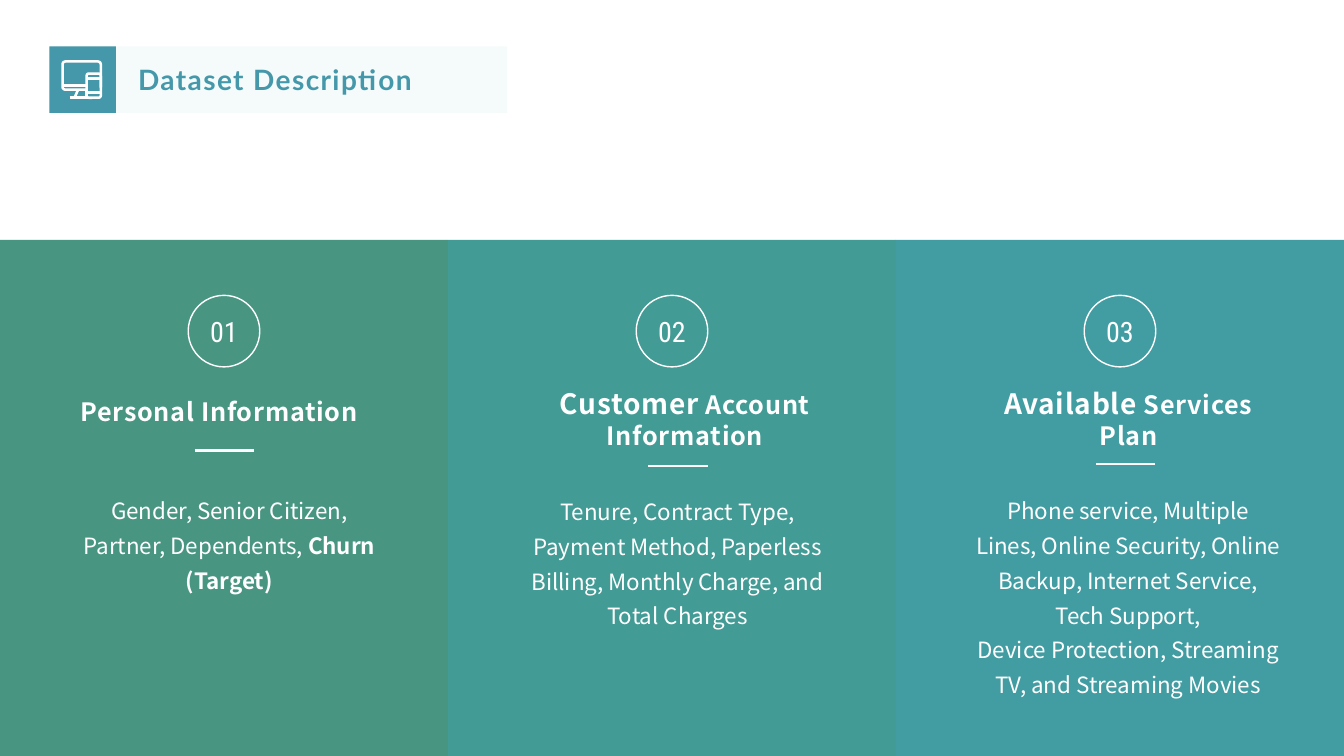
from dataclasses import dataclass
from lxml.etree import SubElement
from pptx import Presentation
from pptx.dml.color import RGBColor
from pptx.enum.shapes import MSO_CONNECTOR, MSO_SHAPE
from pptx.enum.text import MSO_ANCHOR, MSO_AUTO_SIZE, PP_ALIGN
from pptx.oxml.ns import qn
from pptx.util import Inches, Pt

TITLE = "Dataset Description"
# Runs are (text, size name, bold); boxes are (left, top, width, height) in inches.
COLUMNS = [
    dict(number="01", fill="489682", rule=(1.93, 4.47),
         heading=[[("Personal Information", "heading", True)]],
         heading_box=(0.64, 3.88, 3.07, 0.4),
         fields=[[("Gender, Senior Citizen, Partner, Dependents, ", "body", False),
                  ("Churn (Target)", "body", True)]],
         fields_box=(0.64, 4.8, 3.27, 0.77)),
    dict(number="02", fill="429B95", rule=(6.43, 4.62),
         heading=[[("Customer", "large", True), (" Account Information", "heading", True)]],
         heading_box=(5.39, 3.79, 2.81, 0.74),
         fields=[[("Tenure, Contract Type, Payment Method, Paperless Billing, "
                   "Monthly Charge, and Total Charges", "body", False)]],
         fields_box=(5.11, 4.81, 3.22, 1.47)),
    dict(number="03", fill="429DA3", rule=(10.87, 4.6),
         heading=[[("Available", "large", True), (" Services Plan", "heading", True)]],
         heading_box=(9.76, 3.79, 2.87, 0.74),
         fields=[[("Phone service, Multiple Lines, Online Security, Online Backup, "
                   "Internet Service, Tech Support,", "body", False)],
                 [("Device Protection, Streaming TV, and Streaming Movies", "body", False)]],
         fields_box=(9.58, 4.8, 3.22, 1.82)),
]


@dataclass(frozen=True)
class Theme:
    white: str = "FFFFFF"
    accent: str = "4598AA"
    pale: str = "F5FBFB"
    title_font: str = "Lato"
    number_font: str = "Roboto Condensed"
    text_font: str = "Noto Sans CJK SC"
    large: int = 20
    heading: int = 18
    body: int = 16
    icon_line: float = 1.8


THEME = Theme()
SLIDE_W, SLIDE_H = 13.33, 7.5
PANEL_TOP = 2.38
PANEL_W = SLIDE_W / len(COLUMNS)
CIRCLE, CIRCLE_TOP = 0.71, 2.93
NUMBER_W = 0.9
RULE_W = 0.59


def color(code):
    return RGBColor.from_string(code)


def add_shape(slide, preset, box, fill=None, line=None, width=1):
    shape = slide.shapes.add_shape(preset, *map(Inches, box))
    shape.shadow.inherit = False
    if fill:
        shape.fill.solid()
        shape.fill.fore_color.rgb = color(fill)
    else:
        shape.fill.background()
    if line:
        shape.line.color.rgb = color(line)
        shape.line.width = Pt(width)
    else:
        shape.line.fill.background()
    return shape


def add_line(slide, start, end, width):
    line = slide.shapes.add_connector(MSO_CONNECTOR.STRAIGHT, *map(Inches, start + end))
    line.line.color.rgb = color(THEME.white)
    line.line.width = Pt(width)
    SubElement(line._element.spPr, qn("a:effectLst"))


def add_run(paragraph, text, size, font, ink, bold=False, tracking=0):
    """Append one run; tracking is letter spacing in points."""
    run = paragraph.add_run()
    run.text = text
    run.font.size = Pt(size)
    run.font.name = font
    run.font.bold = bold
    run.font.color.rgb = color(ink)
    if tracking:
        run._r.get_or_add_rPr().set("spc", str(round(tracking * 100)))


def add_text(slide, box, paragraphs, font, spacing=None, tracking=0):
    frame = slide.shapes.add_textbox(*map(Inches, box)).text_frame
    frame.word_wrap = True
    frame.auto_size = MSO_AUTO_SIZE.SHAPE_TO_FIT_TEXT
    for index, runs in enumerate(paragraphs):
        paragraph = frame.add_paragraph() if index else frame.paragraphs[0]
        paragraph.alignment = PP_ALIGN.CENTER
        if spacing:
            paragraph.line_spacing = spacing
        for text, size, bold in runs:
            add_run(paragraph, text, getattr(THEME, size), font, THEME.white, bold, tracking)


def add_column(slide, index, column):
    left = index * PANEL_W
    center = left + PANEL_W / 2
    add_shape(slide, MSO_SHAPE.RECTANGLE,
              (left, PANEL_TOP, PANEL_W, SLIDE_H - PANEL_TOP), column["fill"])
    add_shape(slide, MSO_SHAPE.OVAL,
              (center - CIRCLE / 2, CIRCLE_TOP, CIRCLE, CIRCLE), line=THEME.white)
    add_text(slide, (center - NUMBER_W / 2, 3.07, NUMBER_W, 0.44),
             [[(column["number"], "large", False)]], THEME.number_font)
    add_text(slide, column["fields_box"], column["fields"], THEME.text_font, spacing=1.3)
    add_text(slide, column["heading_box"], column["heading"], THEME.text_font, tracking=0.5)
    x, y = column["rule"]
    add_line(slide, (x, y), (x + RULE_W, y), 1.5)


def add_devices_icon(slide):
    """Draw a monitor with a phone in front of it."""
    def device(box, radius, fill=None):
        outline = add_shape(slide, MSO_SHAPE.ROUNDED_RECTANGLE, box, fill,
                            THEME.white, THEME.icon_line)
        outline.adjustments[0] = radius

    def stroke(start, end):
        add_line(slide, start, end, THEME.icon_line)

    device((0.62, 0.61, 0.38, 0.28), 0.1)
    stroke((0.62, 0.85), (0.86, 0.85))
    for top_x, foot_x in ((0.77, 0.74), (0.86, 0.86)):
        stroke((top_x, 0.9), (foot_x, 0.97))
    stroke((0.69, 0.97), (0.9, 0.97))
    device((0.86, 0.73, 0.14, 0.24), 0.15, THEME.accent)
    for y in (0.78, 0.92):
        stroke((0.86, y), (1, y))


def add_header(slide):
    add_shape(slide, MSO_SHAPE.RECTANGLE, (0.49, 0.46, 4.54, 0.66), THEME.pale)
    add_shape(slide, MSO_SHAPE.RECTANGLE, (0.49, 0.46, 0.66, 0.66), THEME.accent)
    add_devices_icon(slide)
    title = slide.shapes.title
    title.left, title.top, title.width, title.height = map(Inches, (1.27, 0.57, 3.73, 0.44))
    frame = title.text_frame
    frame.word_wrap = True
    frame.auto_size = MSO_AUTO_SIZE.NONE
    frame.vertical_anchor = MSO_ANCHOR.MIDDLE
    frame.paragraphs[0].alignment = PP_ALIGN.LEFT
    add_run(frame.paragraphs[0], TITLE, THEME.large, THEME.title_font, THEME.accent,
            bold=True, tracking=1)
    # The title is created first, so bring it in front of its band.
    slide.shapes._spTree.append(title._element)


def main():
    deck = Presentation()
    deck.slide_width, deck.slide_height = Inches(SLIDE_W), Inches(SLIDE_H)
    slide = deck.slides.add_slide(deck.slide_layouts.get_by_name("Title Only"))
    for index, column in enumerate(COLUMNS):
        add_column(slide, index, column)
    add_header(slide)
    deck.save("out.pptx")


if __name__ == "__main__":
    main()
